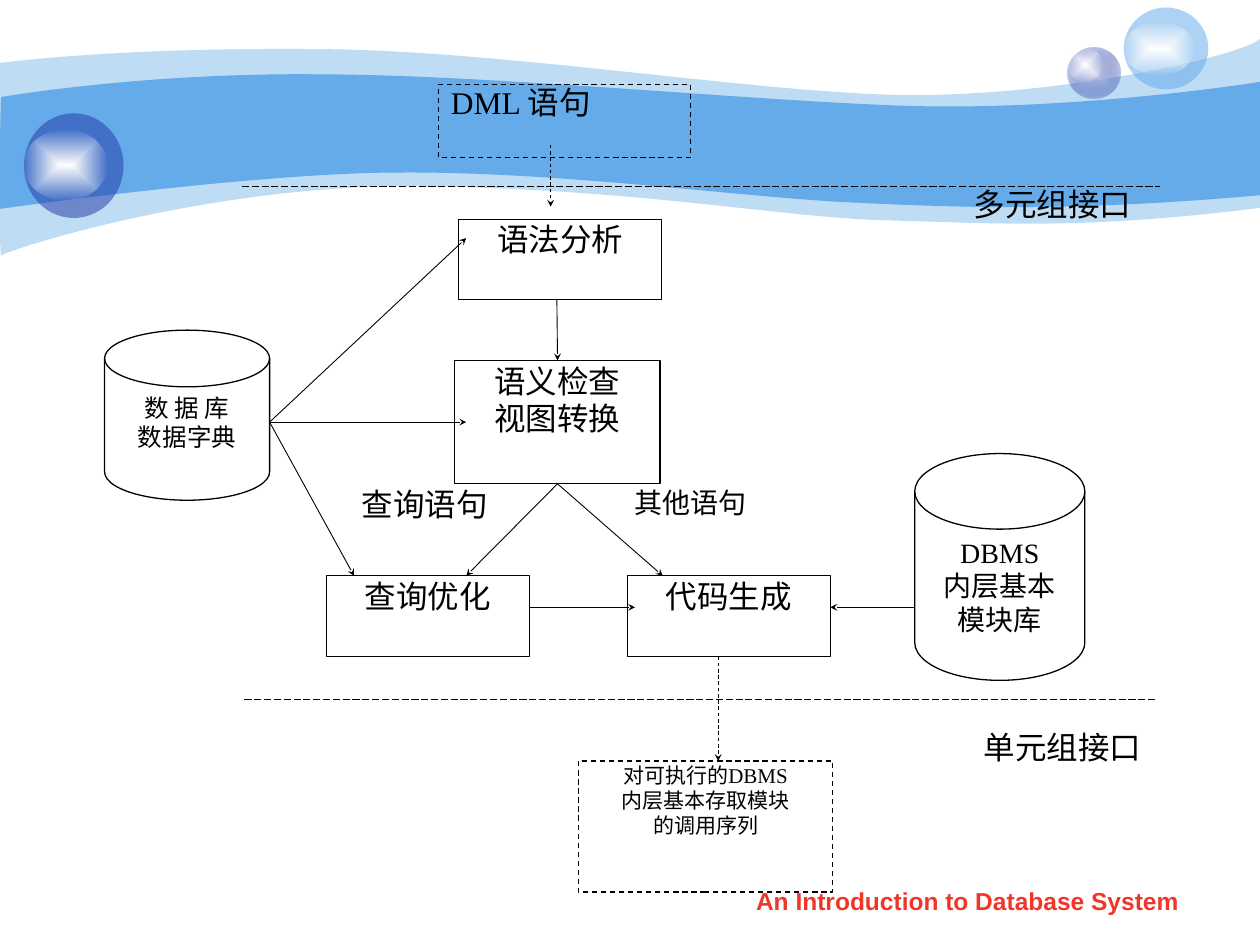
from dataclasses import dataclass
from typing import Optional

from pptx import Presentation
from pptx.dml.color import RGBColor
from pptx.enum.dml import MSO_LINE
from pptx.enum.shapes import MSO_CONNECTOR, MSO_SHAPE
from pptx.enum.text import MSO_ANCHOR, PP_ALIGN
from pptx.oxml import parse_xml
from pptx.oxml.ns import nsdecls, qn
from pptx.util import Inches, Pt

RECTANGLE, OVAL = MSO_SHAPE.RECTANGLE, MSO_SHAPE.OVAL
DISK = MSO_SHAPE.FLOWCHART_MAGNETIC_DISK
DASH, LONG_DASH = MSO_LINE.DASH, MSO_LINE.LONG_DASH
CENTER, JUSTIFY = PP_ALIGN.CENTER, PP_ALIGN.JUSTIFY
TOP, BOTTOM = 0, 2  # connection sites of a rectangle


@dataclass(frozen=True)
class Theme:
    sky: str = "65AAE9"
    navy: str = "233DA9"
    lavender: str = "C7CEE9"
    white: str = "FFFFFF"
    black: str = "000000"
    red: str = "F03628"
    body_font: str = "Times New Roman"
    footer_font: str = "Arial"
    large: int = 18
    medium: int = 16
    small: int = 14
    tiny: int = 12
    outline: float = 0.75
    arrow: float = 0.5


THEME = Theme()


@dataclass(frozen=True)
class Box:
    name: str
    text: str
    at: tuple
    size: int = THEME.large
    kind: int = RECTANGLE
    fill: Optional[str] = THEME.white
    line: Optional[str] = THEME.black
    dash: Optional[int] = None
    align: int = CENTER
    spacing: Optional[float] = None
    inset: float = 0.01


@dataclass(frozen=True)
class Link:
    start: tuple
    end: tuple
    dash: Optional[int] = None
    arrow: bool = True
    source: Optional[str] = None  # box joined at its bottom
    target: Optional[str] = None  # box joined at its top


@dataclass(frozen=True)
class Sphere:
    body: tuple
    shine: tuple
    color: str
    alpha: int
    center: Optional[str] = None


# Each wave: opacity, start point, then curves (control, control, end) and line points
WAVES = [
    (41, (0, 0.5), [
        ((0.24, 0.47), (1.07, 0.38), (2.47, 0.39)), ((3.86, 0.39), (5.75, 0.7), (6.99, 0.75)),
        ((8.22, 0.8), (9.8, 0.47), (10, 0.31)), ((10, 1.65),),
        ((8.58, 1.83), (7.87, 1.77), (7.05, 1.75)), ((6.22, 1.73), (5.15, 1.51), (3.43, 1.48)),
        ((1.72, 1.44), (0.04, 1.99), (0.01, 2.03)), ((-0.01, 2.08), (0, 0.75), (0, 0.5))]),
    (100, (0.01, 0.77), [
        ((0.02, 0.77), (1.1, 0.58), (2.48, 0.59)), ((3.86, 0.59), (5.95, 0.8), (7.18, 0.84)),
        ((8.41, 0.88), (9.76, 0.69), (10, 0.65)), ((10, 1.55),),
        ((8.53, 1.68), (7.65, 1.65), (6.82, 1.61)), ((5.99, 1.58), (4.47, 1.36), (3.17, 1.37)),
        ((2.03, 1.37), (-0.02, 1.66), (-0.01, 1.66)), ((0, 1.66), (0, 0.77), (0.01, 0.77))]),
]

SPHERES = [
    Sphere((8.47, 0.38, 0.42, 0.4), (8.47, 0.38, 0.28, 0.27), THEME.navy, 31, THEME.lavender),
    Sphere((8.92, 0.06, 0.67, 0.65), (8.92, 0.17, 0.56, 0.43), THEME.sky, 53),
    Sphere((0.19, 0.9, 0.79, 0.83), (0.19, 1.03, 0.66, 0.56), THEME.navy, 53),
]

BOXES = [
    Box("other", "其他语句", (4.81, 3.84, 1.34, 0.64), THEME.medium, line=None),
    Box("query", "查询语句", (2.59, 3.84, 1.56, 0.64), line=None),
    Box("dml", "DML 语句", (3.48, 0.67, 2, 0.58), fill=None, dash=DASH, align=JUSTIFY, spacing=0.96),
    Box("syntax", "语法分析", (3.64, 1.74, 1.61, 0.64)),
    Box("semantics", "语义检查\n视图转换", (3.61, 2.86, 1.63, 0.98)),
    Box("dictionary", "数 据 库\n数据字典", (0.83, 2.62, 1.31, 1.35), THEME.small, DISK, inset=0.05),
    Box("library", "DBMS\n内层基本\n模块库", (7.26, 3.6, 1.35, 1.8), THEME.medium, DISK, inset=0.05),
    Box("single", "单元组接口", (7.71, 5.79, 1.78, 0.62), line=THEME.white, align=JUSTIFY, spacing=0.96),
    Box("calls", "对可执行的DBMS\n内层基本存取模块\n的调用序列", (4.59, 6.04, 2.02, 1.04), THEME.tiny, dash=DASH),
    Box("multiple", "多元组接口", (7.63, 1.46, 1.87, 0.68), fill=None, line=None, align=JUSTIFY),
    Box("optimizer", "查询优化", (2.59, 4.57, 1.61, 0.64)),
    Box("generator", "代码生成", (4.98, 4.57, 1.61, 0.64)),
]

DICTIONARY_SIDE = (2.14, 3.35)
SEMANTICS_BOTTOM = (4.42, 3.84)
LINKS = [
    Link((1.92, 1.48), (9.21, 1.48), LONG_DASH, arrow=False),
    Link((1.94, 5.55), (9.17, 5.55), LONG_DASH, arrow=False),
    Link((7.26, 4.82), (6.59, 4.82)),
    Link(DICTIONARY_SIDE, (3.7, 3.35)),
    Link(DICTIONARY_SIDE, (3.7, 1.89)),
    Link(DICTIONARY_SIDE, (2.81, 4.57)),
    Link((4.42, 2.38), (4.42, 2.86), target="semantics"),
    Link(SEMANTICS_BOTTOM, (3.7, 4.57), source="semantics"),
    Link(SEMANTICS_BOTTOM, (5.26, 4.57), source="semantics"),
    Link((4.2, 4.82), (5.04, 4.82)),
    Link((5.7, 5.21), (5.7, 6.04), DASH),
    Link((4.37, 1.15), (4.37, 1.64), DASH),
]


def rgb(color: str) -> RGBColor:
    return RGBColor.from_string(color)


def color_xml(color: str, alpha: int) -> str:
    return f'<a:srgbClr val="{color}"><a:alpha val="{alpha * 1000}"/></a:srgbClr>'


def set_fill(shape, color: str, alpha: int = 100, center: Optional[str] = None) -> None:
    """Fill without outline: solid, or a gradient outwards from the centre colour."""
    shape.shadow.inherit = False
    shape.line.fill.background()
    shape.fill.background()
    if center:
        xml = (f'<a:gradFill {nsdecls("a")} rotWithShape="1"><a:gsLst>'
               f'<a:gs pos="0">{color_xml(center, 100)}</a:gs>'
               f'<a:gs pos="100000">{color_xml(color, alpha)}</a:gs></a:gsLst>'
               '<a:path path="rect"><a:fillToRect l="50000" t="50000" r="50000" b="50000"/>'
               '</a:path></a:gradFill>')
    else:
        xml = f'<a:solidFill {nsdecls("a")}>{color_xml(color, alpha)}</a:solidFill>'
    properties = shape._element.spPr
    properties.replace(properties.find(qn("a:noFill")), parse_xml(xml))


def add_wave(slide, alpha: int, start: tuple, segments: list) -> None:
    builder = slide.shapes.build_freeform(*map(Inches, start))
    builder.add_line_segments([tuple(map(Inches, point)) for segment in segments for point in segment])
    shape = builder.convert_to_shape()
    # Turn every three points of a curve into one Bezier segment
    lines = iter(list(shape._element.iter(qn("a:lnTo"))))
    for segment in segments:
        members = [next(lines) for _ in segment]
        if len(members) == 3:
            curve = parse_xml(f'<a:cubicBezTo {nsdecls("a")}/>')
            members[0].addprevious(curve)
            for member in members:
                curve.append(member[0])
                member.getparent().remove(member)
    set_fill(shape, THEME.sky, alpha)


def add_sphere(slide, sphere: Sphere) -> None:
    body = slide.shapes.add_shape(OVAL, *map(Inches, sphere.body))
    set_fill(body, sphere.color, sphere.alpha, sphere.center)
    shine = slide.shapes.add_shape(OVAL, *map(Inches, sphere.shine))
    set_fill(shine, THEME.white, 0, THEME.white)


def write_text(shape, text: str, *, size: int, font: str = THEME.body_font,
               color: str = THEME.black, bold: bool = False, align: int = CENTER,
               spacing: Optional[float] = None, inset: float = 0.05) -> None:
    frame = shape.text_frame
    frame.word_wrap = True
    frame.vertical_anchor = MSO_ANCHOR.TOP
    frame.margin_left = frame.margin_right = Inches(0.1)
    frame.margin_top = frame.margin_bottom = Inches(inset)
    frame.text = text
    for paragraph in frame.paragraphs:
        paragraph.alignment = align
        paragraph.line_spacing = spacing
        for run in paragraph.runs:
            run.font.name, run.font.size, run.font.bold = font, Pt(size), bold
            run.font.color.rgb = rgb(color)


def add_box(slide, box: Box):
    shape = slide.shapes.add_shape(box.kind, *map(Inches, box.at))
    shape.shadow.inherit = False
    shape.fill.background()
    shape.line.fill.background()
    if box.fill:
        shape.fill.solid()
        shape.fill.fore_color.rgb = rgb(box.fill)
    if box.line:
        shape.line.color.rgb = rgb(box.line)
        shape.line.width = Pt(THEME.outline)
        shape.line.dash_style = box.dash
    write_text(shape, box.text, size=box.size, align=box.align, spacing=box.spacing, inset=box.inset)
    return shape


def add_link(slide, link: Link, boxes: dict) -> None:
    connector = slide.shapes.add_connector(MSO_CONNECTOR.STRAIGHT, *map(Inches, link.start + link.end))
    if link.source:
        connector.begin_connect(boxes[link.source], BOTTOM)
    if link.target:
        connector.end_connect(boxes[link.target], TOP)
    connector.line.color.rgb = rgb(THEME.black)
    connector.line.width = Pt(THEME.arrow)
    connector.line.dash_style = link.dash
    properties = connector._element.spPr
    if link.arrow:
        properties.find(qn("a:ln")).append(
            parse_xml(f'<a:tailEnd {nsdecls("a")} type="stealth" w="sm" len="sm"/>'))
    properties.append(parse_xml(f'<a:effectLst {nsdecls("a")}/>'))


def main() -> None:
    presentation = Presentation()
    presentation.slide_width, presentation.slide_height = Inches(10), Inches(7.5)
    slide = presentation.slides.add_slide(presentation.slide_layouts[6])
    # Background waves and spheres
    for alpha, start, segments in WAVES:
        add_wave(slide, alpha, start, segments)
    for sphere in SPHERES:
        add_sphere(slide, sphere)
    # Footer
    footer = slide.shapes.add_textbox(*map(Inches, (5.71, 6.98, 3.94, 0.35)))
    write_text(footer, "An Introduction to Database System", size=THEME.small,
               font=THEME.footer_font, color=THEME.red, bold=True)
    # Flow diagram
    boxes = {box.name: add_box(slide, box) for box in BOXES}
    for link in LINKS:
        add_link(slide, link, boxes)
    presentation.save("out.pptx")


if __name__ == "__main__":
    main()
